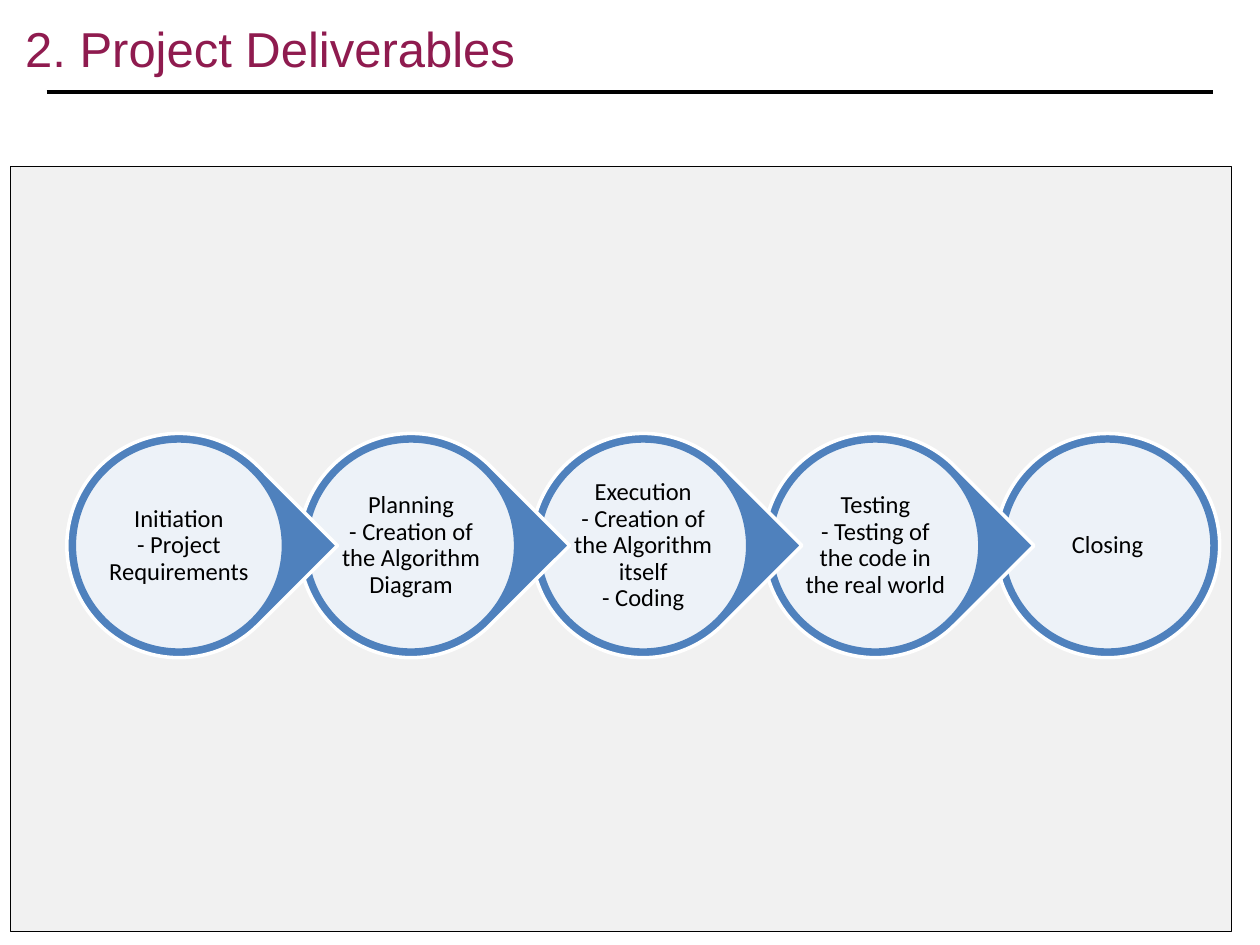
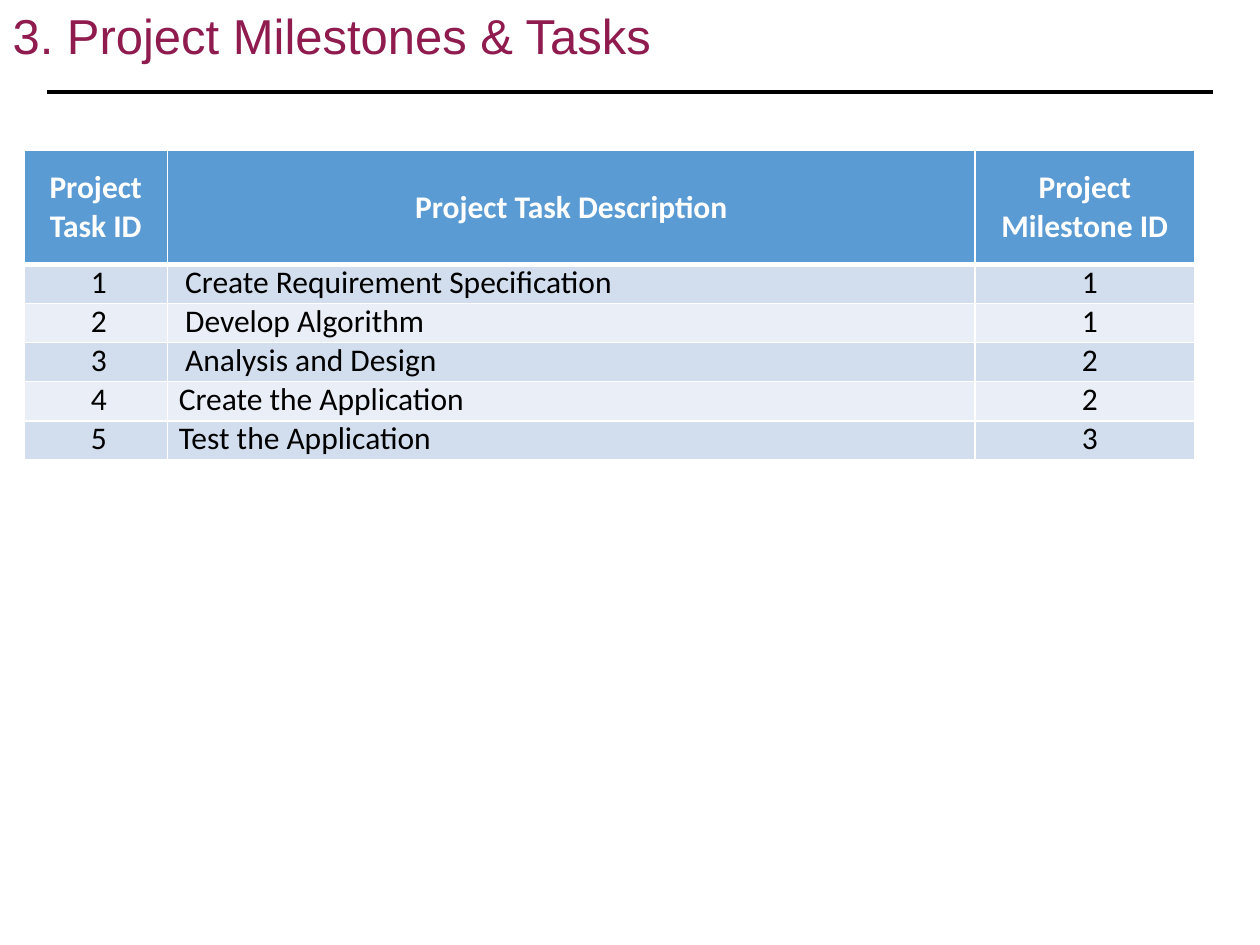
"""Build two project slides: a chain of deliverables and a table of milestones and tasks."""
from lxml import etree
from pptx import Presentation
from pptx import util as u
from pptx.dml.color import RGBColor
from pptx.enum import shapes, text
from pptx.oxml import ns

DELIVERABLES_TITLE = "2. Project Deliverables"
PHASES = [
    "Initiation\n- Project Requirements",
    "Planning\n- Creation of the Algorithm Diagram",
    "Execution\n- Creation of the Algorithm itself\n- Coding",
    "Testing\n- Testing of the code in the real world",
    "Closing",
]
TASKS_TITLE = "3. Project Milestones & Tasks"
HEADERS = ["Project Task ID", "Project Task Description", "Project Milestone ID"]
TASKS = [
    ("1", "Create Requirement Specification", "1", 0.14),
    ("2", "Develop Algorithm", "1", 0.14),
    ("3", "Analysis and Design", "2", 0.14),
    ("4", "Create the Application", "2", 0.09),
    ("5", "Test the Application", "3", 0.09),
]

BLACK = RGBColor(0x00, 0x00, 0x00)
WHITE = RGBColor(0xFF, 0xFF, 0xFF)
PLUM = RGBColor(0x8F, 0x1B, 0x4F)
PANEL_GREY = RGBColor(0xF1, 0xF1, 0xF1)
CHAIN_BLUE = RGBColor(0x4F, 0x81, 0xBD)
HEADER_BLUE = RGBColor(0x5B, 0x9B, 0xD4)
ROW_COLORS = [RGBColor(0xD2, 0xDE, 0xEE), RGBColor(0xEA, 0xEE, 0xF7)]

CENTER, LEFT = text.PP_ALIGN.CENTER, text.PP_ALIGN.LEFT
MIDDLE, TOP = text.MSO_ANCHOR.MIDDLE, text.MSO_ANCHOR.TOP

FIRST_LEFT, LAST_LEFT, DROP_TOP, DROP_SIZE = 0.53, 7.9, 3.44, 1.78
DISC_INSET, LABEL_INSET = 0.06, 0.3
COLUMN_WIDTHS = [1.14, 6.41, 1.74]
HEADER_HEIGHT, ROW_HEIGHT = 0.91, 0.31


def write(frame, content, font="Calibri", size=14, color=BLACK, bold=False,
          align=CENTER, spacing=None, indent=0):
    paragraph = frame.paragraphs[0]
    paragraph.text = content
    paragraph.alignment = align
    paragraph.line_spacing = spacing
    paragraph._p.get_or_add_pPr().set("marL", str(u.Inches(indent)))
    for run in paragraph.runs:
        run.font.name, run.font.size, run.font.bold = font, u.Pt(size), bold
        run.font.color.rgb = color


def set_margins(holder, left=0, top=0, right=0, bottom=0):
    holder.margin_left, holder.margin_top = u.Inches(left), u.Inches(top)
    holder.margin_right, holder.margin_bottom = u.Inches(right), u.Inches(bottom)


def add_shape(slide, kind, left, top, width, height, fill, line, line_width):
    shape = slide.shapes.add_shape(kind, *map(u.Inches, (left, top, width, height)))
    shape.shadow.inherit = False
    shape.fill.solid()
    shape.fill.fore_color.rgb = fill
    shape.line.color.rgb = line
    shape.line.width = u.Pt(line_width)
    return shape


def add_titled_slide(presentation, layout, title, top_margin, indent):
    slide = presentation.slides.add_slide(layout)
    shape = slide.shapes.title
    shape.left, shape.top = u.Inches(0.09), u.Inches(0.03)
    shape.width, shape.height = u.Inches(9.56), u.Inches(0.68)
    frame = shape.text_frame
    frame.auto_size = text.MSO_AUTO_SIZE.NONE
    frame.vertical_anchor = TOP
    set_margins(frame, top=top_margin)
    write(frame, title, font="Arial", size=28, color=PLUM, align=LEFT, indent=indent)
    return slide


def add_title_rule(slide, layout):
    rule = slide.shapes.add_connector(
        shapes.MSO_CONNECTOR.STRAIGHT, *map(u.Inches, (0.37, 0.73, 9.63, 0.73)))
    rule.line.color.rgb = BLACK
    rule.line.width = u.Pt(2)
    etree.SubElement(rule.element.spPr, ns.qn("a:effectLst"))
    rule.element.nvCxnSpPr.cNvPr.set("id", "20")
    layout.shapes.element.append(rule.element)


def add_phase(slide, content, left, kind, rotation):
    drop = add_shape(slide, kind, left, DROP_TOP, DROP_SIZE, DROP_SIZE,
                     CHAIN_BLUE, WHITE, 2)
    drop.rotation = rotation
    disc_size = DROP_SIZE - 2 * DISC_INSET
    disc = add_shape(slide, shapes.MSO_SHAPE.OVAL, left + DISC_INSET,
                     DROP_TOP + DISC_INSET, disc_size, disc_size, WHITE, CHAIN_BLUE, 2)
    fill_color = disc.element.spPr.find(ns.qn("a:solidFill"))[0]
    etree.SubElement(fill_color, ns.qn("a:alpha"), val="90000")
    label_size = DROP_SIZE - 2 * LABEL_INSET
    label = slide.shapes.add_textbox(*map(u.Inches, (
        left + LABEL_INSET, DROP_TOP + LABEL_INSET, label_size, label_size)))
    frame = label.text_frame
    frame.word_wrap = True
    frame.vertical_anchor = MIDDLE
    set_margins(frame, 0.02, 0.02, 0.02, 0.02)
    write(frame, content, spacing=0.9)


def add_chain(slide):
    add_shape(slide, shapes.MSO_SHAPE.RECTANGLE, 0.08, 1.32, 9.69, 6.07,
              PANEL_GREY, BLACK, 0.5)
    last = len(PHASES) - 1
    step = (LAST_LEFT - FIRST_LEFT) / last
    for index in range(last, -1, -1):
        kind, rotation = (shapes.MSO_SHAPE.OVAL, 0) if index == last else (
            shapes.MSO_SHAPE.TEAR, 45)
        add_phase(slide, PHASES[index], FIRST_LEFT + index * step, kind, rotation)


def format_cell(cell, fill, top_border=1, bottom_border=1, anchor=TOP):
    set_margins(cell)
    cell.vertical_anchor = anchor
    properties = cell._tc.get_or_add_tcPr()
    for side, width in (("L", 1), ("R", 1), ("T", top_border), ("B", bottom_border)):
        border = etree.SubElement(properties, ns.qn("a:ln" + side), w=str(u.Pt(width)))
        solid = etree.SubElement(border, ns.qn("a:solidFill"))
        etree.SubElement(solid, ns.qn("a:srgbClr"), val=str(WHITE))
    cell.fill.solid()
    cell.fill.fore_color.rgb = fill


def add_task_table(slide):
    height = HEADER_HEIGHT + len(TASKS) * ROW_HEIGHT
    table = slide.shapes.add_table(len(TASKS) + 1, len(HEADERS), *map(u.Inches, (
        0.19, 1.19, sum(COLUMN_WIDTHS), height))).table
    for column, width in zip(table.columns, COLUMN_WIDTHS):
        column.width = u.Inches(width)
    for index, row in enumerate(table.rows):
        row.height = u.Inches(ROW_HEIGHT if index else HEADER_HEIGHT)
    for column, header in enumerate(HEADERS):
        cell = table.cell(0, column)
        format_cell(cell, HEADER_BLUE, bottom_border=3, anchor=MIDDLE)
        write(cell.text_frame, header, size=18, color=WHITE, bold=True)
    for row, (task, description, milestone, indent) in enumerate(TASKS, 1):
        entries = [(task, CENTER, 0.05), (description, LEFT, indent),
                   (milestone, CENTER, 0.08)]
        for column, (content, align, left_indent) in enumerate(entries):
            cell = table.cell(row, column)
            format_cell(cell, ROW_COLORS[(row - 1) % 2], top_border=3 if row == 1 else 1)
            write(cell.text_frame, content, size=18, align=align,
                  spacing=u.Pt(21.1), indent=left_indent)


def main():
    presentation = Presentation()
    presentation.slide_width, presentation.slide_height = u.Inches(10), u.Inches(7.5)
    layout = presentation.slide_layouts.get_by_name("Title Only")
    deliverables = add_titled_slide(presentation, layout, DELIVERABLES_TITLE, 0.12, 0.11)
    add_title_rule(deliverables, layout)
    add_chain(deliverables)
    tasks = add_titled_slide(presentation, layout, TASKS_TITLE, 0.01, 0.01)
    add_task_table(tasks)
    presentation.save("out.pptx")


main()
